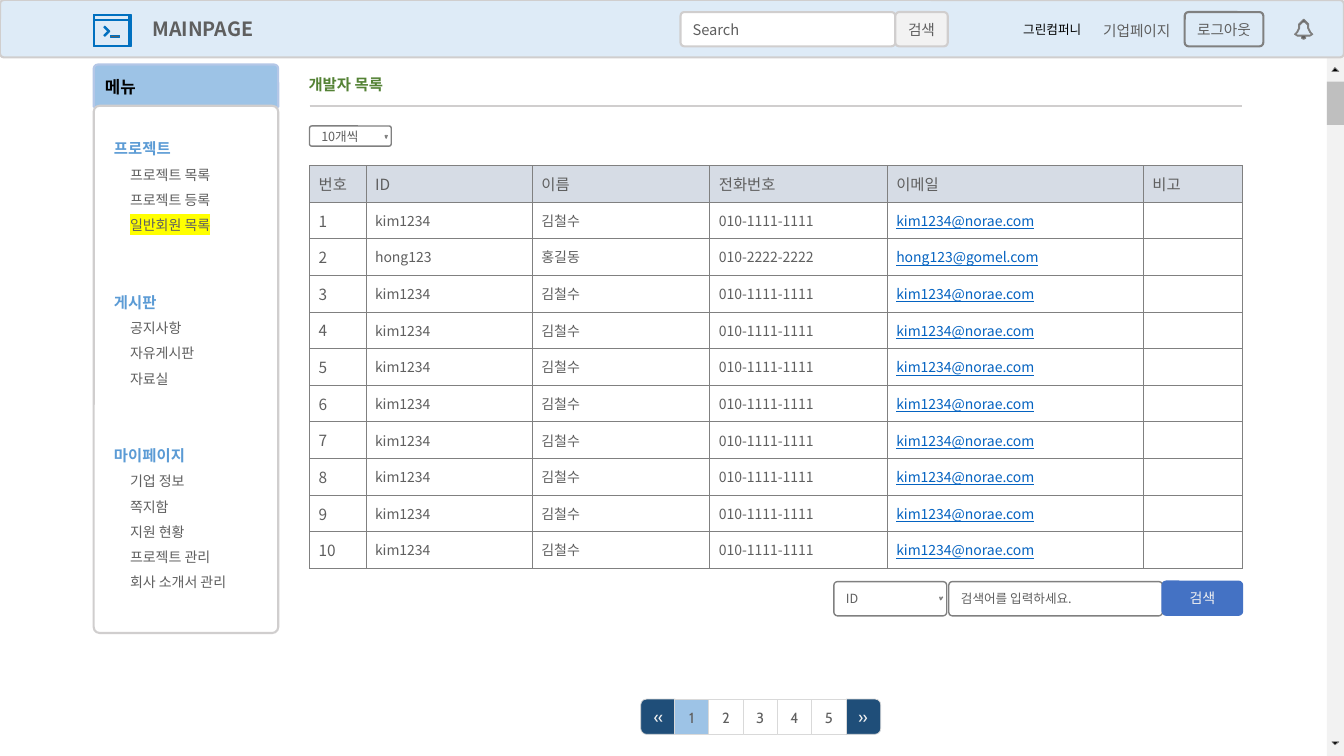
"""Build the developer-list page mock-up with its menu, table and pager."""
from lxml import etree
from pptx import Presentation
from pptx.dml.color import RGBColor
from pptx.enum.shapes import MSO_CONNECTOR, MSO_SHAPE
from pptx.enum.text import MSO_ANCHOR, MSO_AUTO_SIZE, PP_ALIGN
from pptx.oxml.ns import qn
from pptx.util import Inches, Pt

RECT, ROUND = MSO_SHAPE.RECTANGLE, MSO_SHAPE.ROUNDED_RECTANGLE
TOP_ROUND = MSO_SHAPE.ROUND_2_SAME_RECTANGLE
LEFT, CENTER = PP_ALIGN.LEFT, PP_ALIGN.CENTER
TOP, MIDDLE = MSO_ANCHOR.TOP, MSO_ANCHOR.MIDDLE
NOTO, CABIN = "Noto Sans CJK KR", "Cabin"
INK, GRAY, PALE, SKY, NAVY = "5F5F5F", "808080", "D0CECE", "9DC3E6", "1F4E79"
WHITE, BLACK, LIGHT, HEADER, BLUE = "FFFFFF", "000000", "F2F2F2", "DEEBF7", "4472C4"

TITLE = "개발자 목록"
MENU = [
    ("프로젝트", ["프로젝트 목록", "프로젝트 등록", "일반회원 목록"]),
    ("게시판", ["공지사항", "자유게시판", "자료실"]),
    ("마이페이지", ["기업 정보", "쪽지함", "지원 현황", "프로젝트 관리", "회사 소개서 관리"]),
]
CURRENT_ITEM = "일반회원 목록"
COLUMNS = [("번호", 0.56), ("ID", 1.65), ("이름", 1.76), ("전화번호", 1.76),
           ("이메일", 2.54), ("비고", 0.98)]
KIM = ("kim1234", "김철수", "010-1111-1111", "kim1234@norae.com")
HONG = ("hong123", "홍길동", "010-2222-2222", "hong123@gomel.com")
MEMBERS = [KIM, HONG] + [KIM] * 8
PAGES = ["1", "2", "3", "4", "5"]

SCROLLBAR = [
    (RECT, (13.16, 0.57, 0.17, 6.93), LIGHT),
    (RECT, (13.16, 0.81, 0.17, 0.43), "BFBFBF"),
]
FIELD = {"size": 9, "margins": (0.11, 0.07, 0.11, 0.07)}
SELECT = {"size": 9, "margins": (0.11, 0.07, 0.3, 0.07)}
BUTTON = {"size": 10.5, "align": CENTER, "wrap": False}
CONTROLS = [
    (ROUND, (0, 0, 13.33, 0.57), HEADER, (PALE, 1.5), 0.071, "MAINPAGE",
     {"size": 14, "bold": True, "margins": (1.5, 0.05, 0.14, 0.05)}),
    (ROUND, (6.75, 0.12, 2.13, 0.34), WHITE, (PALE, 1.5), 0.108, "Search",
     {**FIELD, "size": 10.5}),
    (ROUND, (8.88, 0.12, 0.52, 0.34), LIGHT, (PALE, 1.5), 0.112, "검색", BUTTON),
    (ROUND, (11.75, 0.12, 0.78, 0.34), HEADER, (GRAY, 1.5), 0.112, "로그아웃", BUTTON),
    (ROUND, (10.82, 0.13, 0.91, 0.34), HEADER, None, 0.112, "기업페이지", BUTTON),
    (ROUND, (3.07, 1.25, 0.81, 0.2), WHITE, (GRAY, 1), 0.108, "10개씩", SELECT),
    (ROUND, (8.27, 5.77, 1.12, 0.34), WHITE, (GRAY, 1), 0.108, "ID", SELECT),
    (ROUND, (9.41, 5.77, 2.12, 0.34), WHITE, (GRAY, 1), 0.108, "검색어를 입력하세요.", FIELD),
    (ROUND, (11.53, 5.77, 0.79, 0.33), BLUE, (BLUE, 1.5), 0.112, "검색",
     {**BUTTON, "size": 10, "color": LIGHT}),
    (TOP_ROUND, (0.93, 0.64, 1.83, 0.42), SKY, ("B4C7E7", 1.5), 0.097, "메뉴",
     {"size": 12, "bold": True, "color": BLACK}),
]
MENU_BOX = (0.93, 1.05, 1.83, 5.23)
CONSOLE = [
    [(0.93, 0.14), (1.3, 0.14), (1.3, 0.46), (0.93, 0.46)],
    [(0.94, 0.15), (1.28, 0.15), (1.28, 0.19), (0.94, 0.19)],
    [(0.94, 0.2), (1.28, 0.2), (1.28, 0.45), (0.94, 0.45)],
    [(1.04, 0.26), (1.09, 0.31), (1.04, 0.36), (1.03, 0.35), (1.07, 0.31), (1.03, 0.27)],
    [(1.1, 0.35), (1.19, 0.35), (1.19, 0.37), (1.1, 0.37)],
]
BELL = [
    [(12.93, 0.19), (12.91, 0.21), (12.88, 0.24), (12.88, 0.28), (12.86, 0.32), (12.84, 0.34),
     (12.87, 0.36), (12.91, 0.36), (12.91, 0.38), (12.93, 0.39), (12.95, 0.38), (12.95, 0.36),
     (12.99, 0.36), (13.02, 0.34), (13, 0.32), (12.98, 0.28), (12.98, 0.24), (12.95, 0.21)],
    [(12.92, 0.22), (12.94, 0.22), (12.97, 0.25), (12.97, 0.28), (12.99, 0.32), (13.01, 0.34),
     (12.99, 0.35), (12.87, 0.35), (12.85, 0.34), (12.87, 0.32), (12.89, 0.28), (12.89, 0.25)],
]
OUTLINES = [
    ([[(13.28, 7.36), (13.24, 7.39), (13.21, 7.36)]], BLACK, (GRAY, 0.5), True),
    ([[(13.21, 0.71), (13.24, 0.67), (13.28, 0.71)]], BLACK, (GRAY, 0.5), True),
    (CONSOLE, INK, ("0070C0", 0.75), True),
    (BELL, INK, (GRAY, 0.75), True),
    ([[(3.84, 1.34), (3.83, 1.37), (3.82, 1.34)]], None, (GRAY, 1), False),
    ([[(9.35, 5.92), (9.33, 5.95), (9.32, 5.92)]], None, (GRAY, 1), False),
]


def rgb(value):
    return RGBColor.from_string(value)


def paint(shape, fill, line):
    shape.shadow.inherit = False
    if fill:
        shape.fill.solid()
        shape.fill.fore_color.rgb = rgb(fill)
    else:
        shape.fill.background()
    if line:
        shape.line.color.rgb, shape.line.width = rgb(line[0]), Pt(line[1])
    else:
        shape.line.fill.background()


def add_run(paragraph, text, size, color=INK, font=NOTO, bold=False, underline=False):
    run = paragraph.add_run()
    run.text = text
    formats = {"size": Pt(size), "name": font, "bold": bold, "underline": underline}
    for name, value in formats.items():
        setattr(run.font, name, value)
    run.font.color.rgb = rgb(color)
    latin = run.font._element.find(qn("a:latin"))
    latin.addnext(latin.makeelement(qn("a:ea"), {"typeface": font}))
    return run


def set_frame(frame, margins=(0.1, 0.07, 0.1, 0.07), wrap=True, anchor=MIDDLE):
    frame.auto_size, frame.word_wrap, frame.vertical_anchor = MSO_AUTO_SIZE.NONE, wrap, anchor
    for side, value in zip(("left", "top", "right", "bottom"), margins):
        setattr(frame, f"margin_{side}", Inches(value))


def write(shape, text, align=LEFT, margins=(0.1, 0.07, 0.1, 0.07), wrap=True, **style):
    set_frame(shape.text_frame, margins, wrap)
    paragraph = shape.text_frame.paragraphs[0]
    paragraph.alignment = align
    add_run(paragraph, text, **style)


def add_box(shapes, kind, place, fill, line=None, adjust=None):
    box = shapes.add_shape(kind, *map(Inches, place))
    paint(box, fill, line)
    if adjust is not None:
        box.adjustments[0] = adjust
    return box


def add_outline(shapes, contours, fill, line, closed):
    builder = None
    for contour in contours:
        start, *rest = [(Inches(x), Inches(y)) for x, y in contour]
        if builder is None:
            builder = shapes.build_freeform(*start)
        else:
            builder.move_to(*start)
        builder.add_line_segments(rest, close=closed)
    paint(builder.convert_to_shape(), fill, line)


def place_placeholder(shape, place):
    for name, value in zip(("left", "top", "width", "height"), place):
        setattr(shape, name, Inches(value))


def add_menu(shapes, body):
    box = add_box(shapes, ROUND, MENU_BOX, WHITE, (PALE, 1.5), 0.032)
    box._element.addnext(body._element)
    place_placeholder(body, (1.13, 1.31, 1.6, 4.8))
    frame = body.text_frame
    set_frame(frame, (0, 0, 0, 0), anchor=TOP)
    lines = [(text, text == heading) for heading, items in MENU for text in [heading, *items]]
    for index, (text, is_heading) in enumerate(lines):
        paragraph = frame.paragraphs[0] if index == 0 else frame.add_paragraph()
        properties = paragraph._p.get_or_add_pPr()
        properties.set("marL", str(Inches(0 if is_heading else 0.16)))
        properties.set("indent", "0")
        etree.SubElement(properties, qn("a:buNone"))
        paragraph.alignment = LEFT
        paragraph.line_spacing = Pt(18.5 if is_heading else 18)
        paragraph.space_before = Pt(37 if is_heading and index else 0)
        style = {"size": 11, "color": "5B9BD5", "bold": True} if is_heading else {"size": 10}
        run = add_run(paragraph, text, **style)
        if text == CURRENT_ITEM:
            fill = run.font._element.find(qn("a:solidFill"))
            highlight = fill.makeelement(qn("a:highlight"), {})
            etree.SubElement(highlight, qn("a:srgbClr"), val="FFFF00")
            fill.addnext(highlight)


def add_members(shapes):
    rows = [[name for name, _ in COLUMNS]]
    rows += [[str(number), *member, ""] for number, member in enumerate(MEMBERS, 1)]
    place = map(Inches, (3.07, 1.64, 9.25, 4))
    table = shapes.add_table(len(rows), len(COLUMNS), *place).table
    table.first_row = table.horz_banding = False
    for column, (_, width) in zip(table.columns, COLUMNS):
        column.width = Inches(width)
    for r, row in enumerate(rows):
        table.rows[r].height = Inches(4 / len(rows))
        for c, text in enumerate(row):
            fill_cell(table.cell(r, c), text, r == 0, c)


def fill_cell(cell, text, is_header, column):
    cell.vertical_anchor = MIDDLE
    for side, value in {"left": 0.09, "right": 0.09, "top": 0.05, "bottom": 0.05}.items():
        setattr(cell, f"margin_{side}", Inches(value))
    for edge in ("lnL", "lnR", "lnT", "lnB"):
        line = etree.SubElement(cell._tc.get_or_add_tcPr(), qn(f"a:{edge}"), w=str(Pt(0.5)))
        etree.SubElement(etree.SubElement(line, qn("a:solidFill")), qn("a:srgbClr"), val=GRAY)
    if is_header:
        cell.fill.solid()
        cell.fill.fore_color.rgb = rgb("D6DCE5")
    else:
        cell.fill.background()
    paragraph = cell.text_frame.paragraphs[0]
    if text:
        is_email = "@" in text
        add_run(paragraph, text, 11 if is_header or column == 0 else 10,
                "0563C1" if is_email else INK, underline=is_email)
    else:
        etree.SubElement(paragraph._p, qn("a:endParaRPr"), sz="1000")


def add_pager(shapes):
    step = 0.34
    ends = {"«": (270, "vert"), "»": (90, "vert270")}
    for index, label in enumerate(["«", *PAGES, "»"]):
        left = 6.35 + index * step
        if label in ends:
            page = add_box(shapes, TOP_ROUND, (left, 6.94, 0.35, step), NAVY, ("D9D9D9", 0.5))
            page.rotation, direction = ends[label]
            page.text_frame._txBody.bodyPr.set("vert", direction)
            style = {"size": 12, "color": LIGHT}
        else:
            fill = SKY if label == PAGES[0] else WHITE
            page = add_box(shapes, RECT, (left, 6.94, step, 0.35), fill, ("D9D9D9", 0.5))
            style = {"size": 10.5}
        write(page, label, CENTER, (0, 0, 0, 0), font=CABIN, **style)


def main():
    deck = Presentation()
    deck.slide_width, deck.slide_height = Inches(13.33), Inches(7.5)
    slide = deck.slides.add_slide(deck.slide_layouts[1])
    shapes = slide.shapes
    title, body = slide.placeholders
    place_placeholder(title, (2.96, 0.69, 1.73, 0.29))
    write(title, TITLE, size=11, color="548235", bold=True)
    for part in SCROLLBAR:
        add_box(shapes, *part)
    for *look, text, style in CONTROLS:
        write(add_box(shapes, *look), text, **style)
    for outline in OUTLINES:
        add_outline(shapes, *outline)
    company = shapes.add_textbox(*map(Inches, (10.05, 0.17, 0.86, 0.25)))
    write(company, "그린컴퍼니", size=9, color=BLACK)
    rule = shapes.add_connector(MSO_CONNECTOR.STRAIGHT, *map(Inches, (3.07, 1.05, 12.32, 1.05)))
    rule.line.color.rgb, rule.line.width = rgb(PALE), Pt(1.5)
    etree.SubElement(rule._element.spPr, qn("a:effectLst"))
    add_members(shapes)
    add_pager(shapes)
    add_menu(shapes, body)
    deck.save("out.pptx")


if __name__ == "__main__":
    main()
